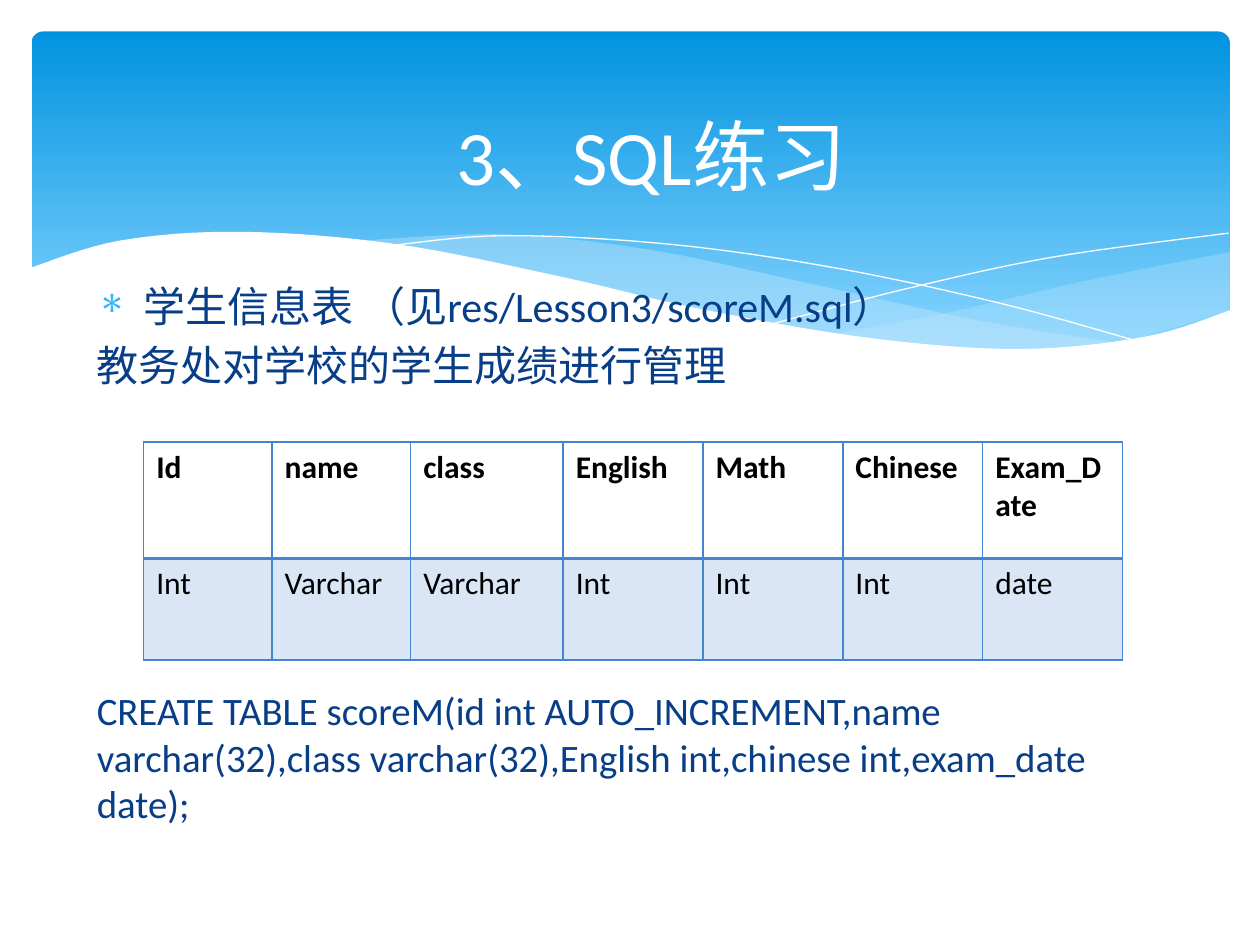
from dataclasses import dataclass
from lxml.etree import SubElement
from pptx import Presentation
from pptx.dml.color import RGBColor
from pptx.enum.shapes import MSO_SHAPE as Preset
from pptx.enum.text import MSO_ANCHOR as Anchor, PP_ALIGN as Align
from pptx.oxml import parse_xml
from pptx.oxml.ns import nsdecls, qn
from pptx.util import Inches, Pt


@dataclass(frozen=True)
class Theme:
    font: str = "Calibri"
    white: str = "FFFFFF"
    black: str = "000000"
    navy: str = "073E87"
    sky_top: str = "0293E0"
    sky_bottom: str = "83D3FE"
    wave: str = "C6E7FC"
    bullet: str = "31B6FD"
    border: str = "4584D3"
    row_fill: str = "DAE6F6"
    title_size: float = 44
    body_size: float = 24
    code_size: float = 22.2
    table_size: float = 18


theme = Theme()


def set_font(paragraph, size, color, bold=False):
    font = paragraph.font
    font.name, font.size, font.bold = theme.font, Pt(size), bold
    font.color.rgb = RGBColor.from_string(color)


def add_text(slide, top, lines, size):
    box = slide.shapes.add_textbox(Inches(0.67), Inches(top), Inches(8.43), Inches(1.1))
    frame = box.text_frame
    frame.word_wrap = True
    frame.text = "\n".join(lines)
    for paragraph in frame.paragraphs:
        paragraph.space_before = Pt(size * 0.2)
        set_font(paragraph, size, theme.navy)
    return frame


presentation = Presentation()
presentation.slide_width, presentation.slide_height = Inches(10), Inches(7.5)
slide = presentation.slides.add_slide(presentation.slide_layouts[5])
shapes = slide.shapes

# Gradient banner
banner = shapes.add_shape(Preset.ROUNDED_RECTANGLE, Inches(0.25), Inches(0.25), Inches(9.51), Inches(2.7))
banner.adjustments[0] = 0.034
banner.shadow.inherit = False
banner.line.fill.background()
banner.fill.gradient()
banner.fill.gradient_angle = 270
for stop, position, color in zip(banner.fill.gradient_stops, (0, 0.9), (theme.sky_top, theme.sky_bottom)):
    stop.position = position
    stop.color.rgb = RGBColor.from_string(color)

# Waves: opacity in percent (None for a line) and the knots of each smooth edge
waves = [
    (29, [[(9.76, 2), (8.61, 2.23), (7.53, 2.48), (6.61, 2.65)],
          [(6.61, 2.65), (7.32, 2.74), (8.03, 2.78), (8.81, 2.73), (9.76, 2.47)]]),
    (40, [[(8.93, 2.73), (7.75, 2.54), (6.29, 2.22), (5.14, 1.98), (3.99, 1.86), (2.86, 1.91)],
          [(2.86, 1.91), (4.04, 2.11), (5.3, 2.4), (6.8, 2.68), (8.07, 2.78), (8.93, 2.73)]]),
    (None, [[(3.09, 1.95), (4.01, 1.87), (5.33, 1.94), (6.65, 2.13), (7.95, 2.41), (9.07, 2.72)]]),
    (None, [[(6.13, 2.57), (7.2, 2.29), (8.36, 2.04), (9.75, 1.85)]]),
    (100, [[(9.77, 2.46), (9.1, 2.67), (8.09, 2.77), (6.88, 2.68), (5.55, 2.45), (4.47, 2.2),
            (3.16, 1.94), (1.93, 1.84), (0.95, 1.91), (0.23, 2.13)],
           [(0.23, 3.29), (9.77, 3.29)]]),
]
steps = 8
for opacity, edges in waves:
    # Catmull-Rom curve through the knots
    points = []
    for knots in edges:
        padded = [knots[0], *knots, knots[-1]]
        points.append(knots[0])
        for before, start, end, after in zip(padded, padded[1:], padded[2:], padded[3:]):
            for step in range(1, steps + 1):
                t = step / steps
                points.append(tuple(
                    b + ((c - a) * t + (2 * a - 5 * b + 4 * c - d) * t ** 2
                         + (3 * b - a - 3 * c + d) * t ** 3) / 2
                    for a, b, c, d in zip(before, start, end, after)))
    points = [(Inches(x), Inches(y)) for x, y in points]
    builder = shapes.build_freeform(*points[0])
    builder.add_line_segments(points[1:], close=opacity is not None)
    wave = builder.convert_to_shape()
    wave.shadow.inherit = False
    if opacity is None:
        wave.fill.background()
        wave.line.color.rgb = RGBColor.from_string(theme.white)
        wave.line.width = Pt(0)
        continue
    wave.line.fill.background()
    wave.fill.solid()
    wave.fill.fore_color.rgb = RGBColor.from_string(theme.white if opacity == 100 else theme.wave)
    color_node = wave._element.spPr.find(qn("a:solidFill"))[0]
    SubElement(color_node, qn("a:alpha"), val=str(opacity * 1000))

# Introduction, with a bullet on its first line
intro = add_text(slide, 2.18, [" 学生信息表 （见res/Lesson3/scoreM.sql）", "教务处对学校的学生成绩进行管理"],
                 theme.body_size)
properties = intro.paragraphs[0]._p.get_or_add_pPr()
properties.set("marL", str(Inches(0.3)))
properties.set("indent", str(-Inches(0.3)))
bullet_color = parse_xml(f'<a:buClr {nsdecls("a")}><a:srgbClr val="{theme.bullet}"/></a:buClr>')
bullet = parse_xml(f'<a:buChar {nsdecls("a")} char="∗"/>')
properties.find(qn("a:spcBef")).addnext(bullet_color)
bullet_color.addnext(bullet)

# Title, in front of the banner
title = shapes.title
shapes._spTree.append(title._element)
title.left, title.top, title.width, title.height = Inches(0.67), Inches(0.6), Inches(9), Inches(1.25)
title.text_frame.text = "3、SQL练习"
title.text_frame.vertical_anchor = Anchor.MIDDLE
title.text_frame.paragraphs[0].alignment = Align.CENTER
set_font(title.text_frame.paragraphs[0], theme.title_size, theme.white)

# Column table: names above types
rows = [
    ["Id", "name", "class", "English", "Math", "Chinese", "Exam_Date"],
    ["Int", "Varchar", "Varchar", "Int", "Int", "Int", "date"],
]
table = shapes.add_table(2, 7, Inches(1.14), Inches(3.51), Inches(7.79), Inches(1.73)).table
table.first_row = table.horz_banding = False
for column, width in zip(table.columns, [1.02, 1.1, 1.21] + [1.11] * 4):
    column.width = Inches(width)
for row, height in zip(table.rows, (0.92, 0.81)):
    row.height = Inches(height)
for row_index, names in enumerate(rows):
    header = row_index == 0
    for column_index, name in enumerate(names):
        cell = table.cell(row_index, column_index)
        cell.text = name
        set_font(cell.text_frame.paragraphs[0], theme.table_size, theme.black, bold=header)
        if header:
            cell.fill.background()
        else:
            cell.fill.solid()
            cell.fill.fore_color.rgb = RGBColor.from_string(theme.row_fill)
        widths = {"lnL": 1, "lnR": 1, "lnT": 1 if header else 2, "lnB": 2 if header else 1}
        for index, (side, width) in enumerate(widths.items()):
            border = parse_xml(f'<a:{side} {nsdecls("a")} w="{Pt(width)}"><a:solidFill>'
                               f'<a:srgbClr val="{theme.border}"/></a:solidFill></a:{side}>')
            cell._tc.get_or_add_tcPr().insert(index, border)

# SQL statement
add_text(slide, 5.4, ["CREATE TABLE scoreM(id int AUTO_INCREMENT,name varchar(32),class varchar(32),"
                      "English int,chinese int,exam_date date);"], theme.code_size)

presentation.save("out.pptx")
